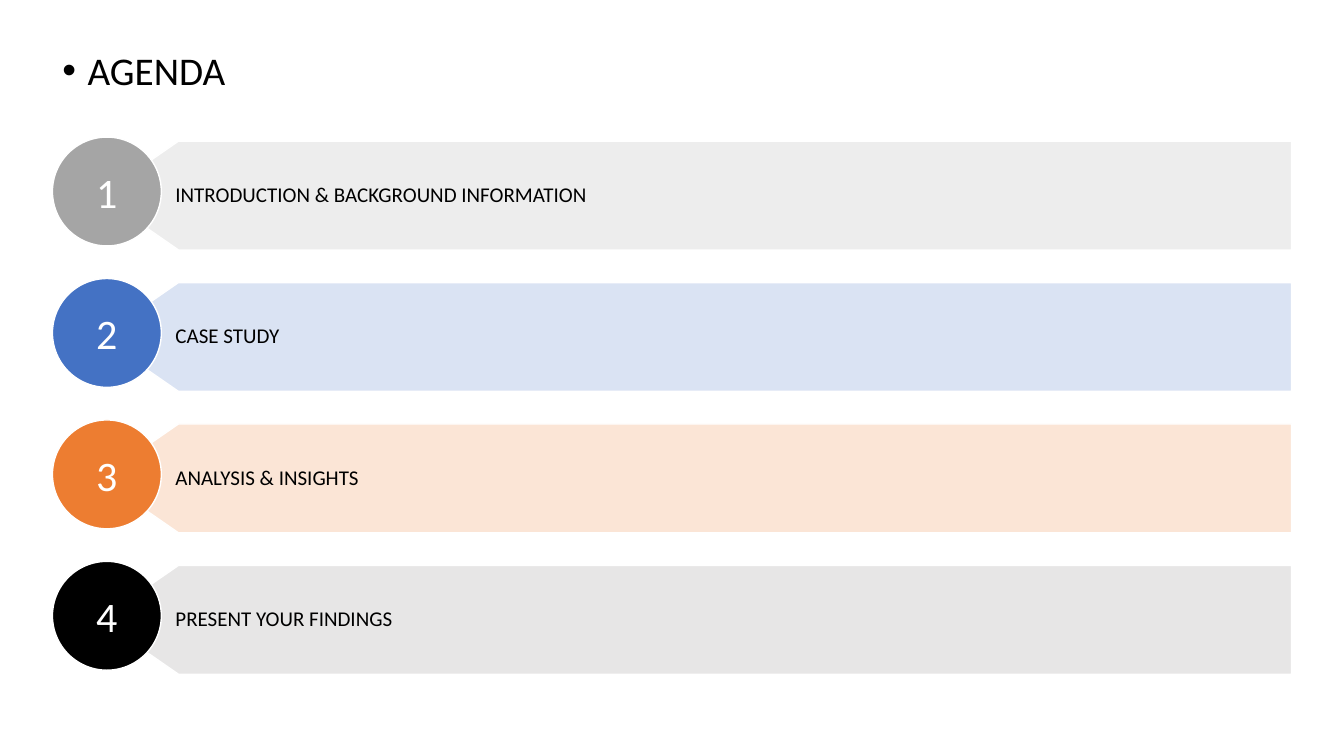
from lxml import etree
from pptx import Presentation
from pptx.dml.color import RGBColor
from pptx.enum.shapes import MSO_SHAPE
from pptx.enum.text import MSO_ANCHOR, PP_ALIGN
from pptx.oxml.ns import qn
from pptx.util import Inches, Pt

COLORS = {
    "text": "000000", "white": "FFFFFF",
    "gray": "A5A5A5", "gray_bar": "EDEDED",
    "blue": "4472C4", "blue_bar": "DAE3F3",
    "orange": "ED7D31", "orange_bar": "FBE5D6",
    "black": "000000", "black_bar": "E7E6E6",
}
AGENDA = [
    ("INTRODUCTION & BACKGROUND INFORMATION", "gray"),
    ("CASE STUDY", "blue"),
    ("ANALYSIS & INSIGHTS", "orange"),
    ("PRESENT YOUR FINDINGS", "black"),
]
LEFT, RIGHT = 0.52, 12.81
TIP, SHOULDER = 0.99, 1.77
SIZE, PITCH = 1.08, 1.403
FIRST_BAR, FIRST_CIRCLE = 1.4, 1.36


def write(sp, text, size, color, frame, paragraph):
    tf = sp.text_frame
    for name, value in frame.items():
        setattr(tf, name, value)
    p = tf.paragraphs[0]
    for name, value in paragraph.items():
        setattr(p, name, value)
    r = p.add_run()
    r.text = text
    r.font.name = "Calibri"
    r.font.size = Pt(size)
    r.font.color.rgb = RGBColor.from_string(COLORS[color])
    return p


def paint(sp, color):
    sp.shadow.inherit = False
    sp.fill.solid()
    sp.fill.fore_color.rgb = RGBColor.from_string(COLORS[color])
    sp.line.color.rgb = RGBColor.from_string(COLORS["white"])
    sp.line.width = Pt(1)


prs = Presentation()
prs.slide_width = Inches(13.33)
prs.slide_height = Inches(7.5)
s = prs.slides.add_slide(prs.slide_layouts[6])

title = s.shapes.add_textbox(Inches(LEFT), Inches(0.46), Inches(RIGHT - LEFT), Inches(0.79))
p = write(title, "AGENDA", 28, "text", {"word_wrap": True},
          {"line_spacing": 0.9, "space_before": Pt(10)})
pPr = p._p.get_or_add_pPr()
pPr.set("marL", str(Inches(0.25)))
pPr.set("indent", str(Inches(-0.25)))
etree.SubElement(pPr, qn("a:buFont")).set("typeface", "Arial")
etree.SubElement(pPr, qn("a:buChar")).set("char", "•")

bar_frame = {
    "word_wrap": True, "vertical_anchor": MSO_ANCHOR.MIDDLE,
    "margin_left": Inches(0.75), "margin_right": Inches(0.36),
    "margin_top": Inches(0.19), "margin_bottom": Inches(0.19),
}
circle_frame = {"word_wrap": True, "vertical_anchor": MSO_ANCHOR.MIDDLE}

for i, (topic, color) in enumerate(AGENDA):
    top = FIRST_BAR + i * PITCH
    bottom = top + SIZE
    outline = [(SHOULDER, bottom), (TIP, top + SIZE / 2), (SHOULDER, top), (RIGHT, top)]
    builder = s.shapes.build_freeform(Inches(RIGHT), Inches(bottom))
    builder.add_line_segments([(Inches(x), Inches(y)) for x, y in outline], close=True)
    bar = builder.convert_to_shape()
    paint(bar, color + "_bar")
    write(bar, topic, 15, "text", bar_frame, {"line_spacing": 0.9, "alignment": PP_ALIGN.LEFT})

    circle = s.shapes.add_shape(MSO_SHAPE.OVAL, Inches(LEFT), Inches(FIRST_CIRCLE + i * PITCH),
                                Inches(SIZE), Inches(SIZE))
    paint(circle, color)
    write(circle, str(i + 1), 30, "white", circle_frame, {"alignment": PP_ALIGN.CENTER})

prs.save("out.pptx")
